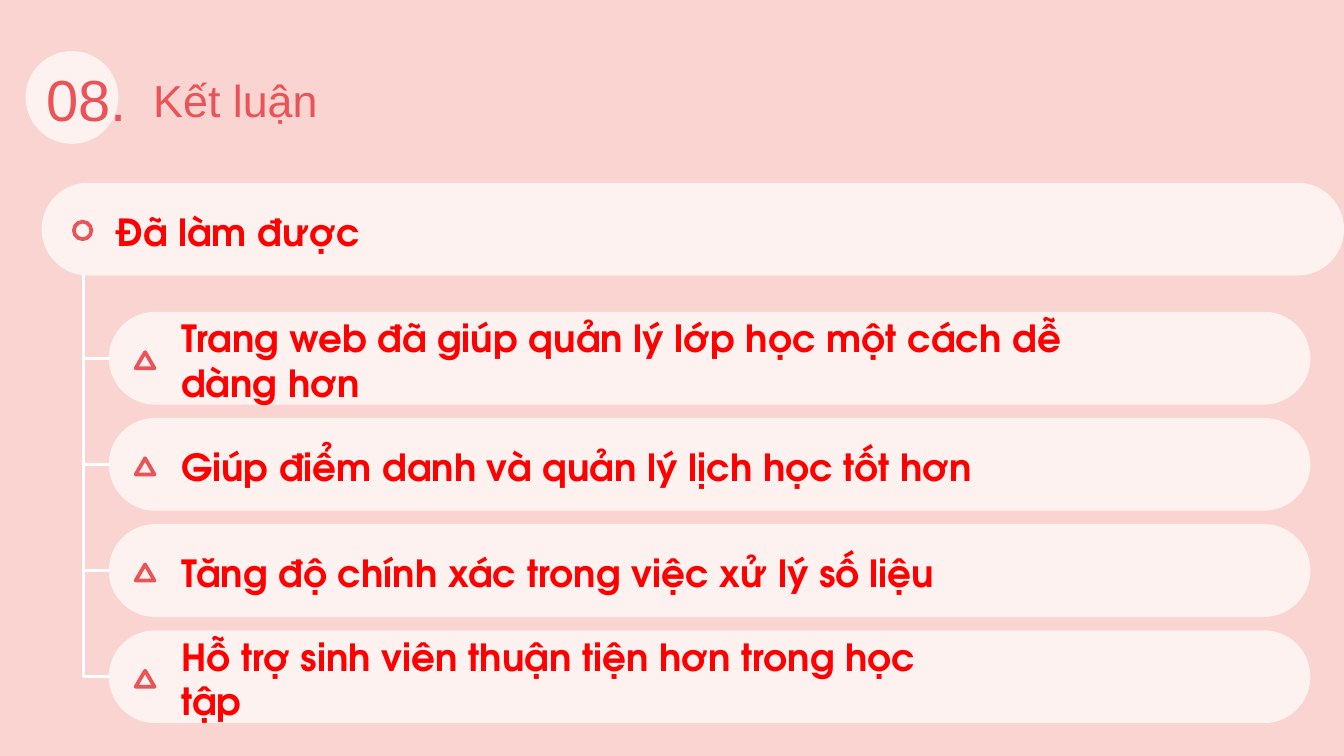
from lxml import etree
from pptx import Presentation
from pptx.dml.color import RGBColor
from pptx.enum.shapes import MSO_CONNECTOR, MSO_SHAPE
from pptx.enum.text import MSO_ANCHOR, MSO_AUTO_SIZE, PP_ALIGN
from pptx.oxml.ns import qn
from pptx.util import Inches, Pt

ELBOW = MSO_CONNECTOR.ELBOW
RECTANGLE, OVAL = MSO_SHAPE.RECTANGLE, MSO_SHAPE.OVAL
TRIANGLE, PILL = MSO_SHAPE.ISOSCELES_TRIANGLE, MSO_SHAPE.ROUNDED_RECTANGLE
MIDDLE = MSO_ANCHOR.MIDDLE
NO_AUTOFIT = MSO_AUTO_SIZE.NONE
LEFT, RIGHT = PP_ALIGN.LEFT, PP_ALIGN.RIGHT

PINK = RGBColor(0xF9, 0xD4, 0xD0)
CREAM = RGBColor(0xFE, 0xF2, 0xF0)
CORAL = RGBColor(0xEA, 0x54, 0x58)
RED = RGBColor(0xFF, 0x00, 0x00)
WHITE = RGBColor(0xFF, 0xFF, 0xFF)

HEADING_FONT = "Arial"
BODY_FONT = "TeX Gyre Adventor"
SLIDE_WIDTH = 10
SLIDE_HEIGHT = SLIDE_WIDTH * 9 / 16
PILL_HEIGHT = 0.69
HEAD_TOP = 1.36
TRUNK_X = 0.62
ITEM_LEFT = 0.81
ITEM_TOP = 2.32
ITEM_PITCH = 0.79
ITEMS = [
    ("Trang web đã giúp quản lý lớp học một cách dễ dàng hơn", 7.27),
    ("Giúp điểm danh và quản lý lịch học tốt hơn", 6.79),
    ("Tăng độ chính xác trong việc xử lý số liệu", 8.13),
    ("Hỗ trợ sinh viên thuận tiện hơn trong học tập", 6.05),
]


def place(shape, left, top, width, height):
    """Set the position and size of a shape in inches."""
    shape.left, shape.top = Inches(left), Inches(top)
    shape.width, shape.height = Inches(width), Inches(height)


def write_text(shape, text, size=20, font=BODY_FONT, color=RED, bold=True,
               align=LEFT, vertical_inset=0.05):
    """Write one formatted, vertically centred paragraph."""
    frame = shape.text_frame
    frame.word_wrap = True
    frame.auto_size = NO_AUTOFIT
    frame.vertical_anchor = MIDDLE
    frame.margin_left = frame.margin_right = Inches(0.1)
    frame.margin_top = frame.margin_bottom = Inches(vertical_inset)
    paragraph = frame.paragraphs[0]
    paragraph.text = text
    paragraph.alignment = align
    paragraph.font.name = font
    paragraph.font.size = Pt(size)
    paragraph.font.bold = bold
    paragraph.font.color.rgb = color


def add_text(slide, box, text, **text_format):
    """Add a text box with formatted text."""
    shape = slide.shapes.add_textbox(*map(Inches, box))
    write_text(shape, text, **text_format)


def add_panel(slide, kind, box, color=CREAM):
    """Add a filled shape without outline."""
    shape = slide.shapes.add_shape(kind, *map(Inches, box))
    shape.shadow.inherit = False
    shape.fill.solid()
    shape.fill.fore_color.rgb = color
    shape.line.fill.background()
    if kind == PILL:
        shape.adjustments[0] = 0.5


def add_marker(slide, kind, box):
    """Add an outlined bullet marker with rounded corners."""
    shape = slide.shapes.add_shape(kind, *map(Inches, box))
    shape.shadow.inherit = False
    shape.fill.background()
    shape.line.color.rgb = CORAL
    shape.line.width = Pt(2)
    outline = shape.element.spPr.find(qn("a:ln"))
    etree.SubElement(outline, qn("a:round"))


def add_branch(slide, start_y, end_y):
    """Add a one-bend connector down the trunk and right to an item."""
    drop, run = end_y - start_y, ITEM_LEFT - TRUNK_X
    left = TRUNK_X + (run - drop) / 2
    top = start_y + (drop - run) / 2
    connector = slide.shapes.add_connector(
        ELBOW, *map(Inches, (left, top, left + drop, top + run)))
    connector.line.color.rgb = WHITE
    connector.line.width = Pt(1.5)
    properties = connector.element.spPr
    properties.find(qn("a:prstGeom")).set("prst", "bentConnector2")
    transform = properties.find(qn("a:xfrm"))
    transform.set("rot", str(270 * 60000))
    transform.set("flipH", "1")
    etree.SubElement(properties, qn("a:effectLst"))


def add_heading(slide):
    """Add the section number and the slide title."""
    heading = {"font": HEADING_FONT, "color": CORAL, "bold": False, "vertical_inset": 0.1}
    add_panel(slide, OVAL, (0.19, 0.38, 0.69, 0.69))
    place(slide.shapes.title, 1.04, 0.46, 3.62, 0.56)
    write_text(slide.shapes.title, "Kết luận", size=24, **heading)
    add_text(slide, (0, 0.45, 1.04, 0.56), "08.", size=31, align=RIGHT, **heading)


def add_item(slide, top, text, text_width):
    """Add one achievement with its marker."""
    add_panel(slide, PILL, (ITEM_LEFT, top, 8.94, PILL_HEIGHT))
    add_text(slide, (1.25, top + 0.14, text_width, 0.44), text)
    add_marker(slide, TRIANGLE, (1.01, top + 0.3, 0.14, 0.12))


def main():
    """Build and save the slide."""
    presentation = Presentation()
    presentation.slide_width = Inches(SLIDE_WIDTH)
    presentation.slide_height = Inches(SLIDE_HEIGHT)
    slide = presentation.slides.add_slide(presentation.slide_layouts[5])
    slide.background.fill.solid()
    slide.background.fill.fore_color.rgb = CREAM
    add_panel(slide, RECTANGLE, (0, 0, SLIDE_WIDTH, SLIDE_HEIGHT), PINK)
    title = slide.shapes.title.element
    title.getparent().append(title)

    add_heading(slide)
    add_panel(slide, PILL, (0.31, HEAD_TOP, 9.69, PILL_HEIGHT))
    add_marker(slide, OVAL, (0.55, 1.65, 0.13, 0.13))
    add_text(slide, (0.76, 1.5, 4.21, 0.44), "Đã làm được")

    branch_start = HEAD_TOP + PILL_HEIGHT
    for index, (text, text_width) in enumerate(ITEMS):
        top = ITEM_TOP + index * ITEM_PITCH
        center = top + PILL_HEIGHT / 2
        add_item(slide, top, text, text_width)
        add_branch(slide, branch_start, center)
        branch_start = center
    presentation.save("out.pptx")


if __name__ == "__main__":
    main()
